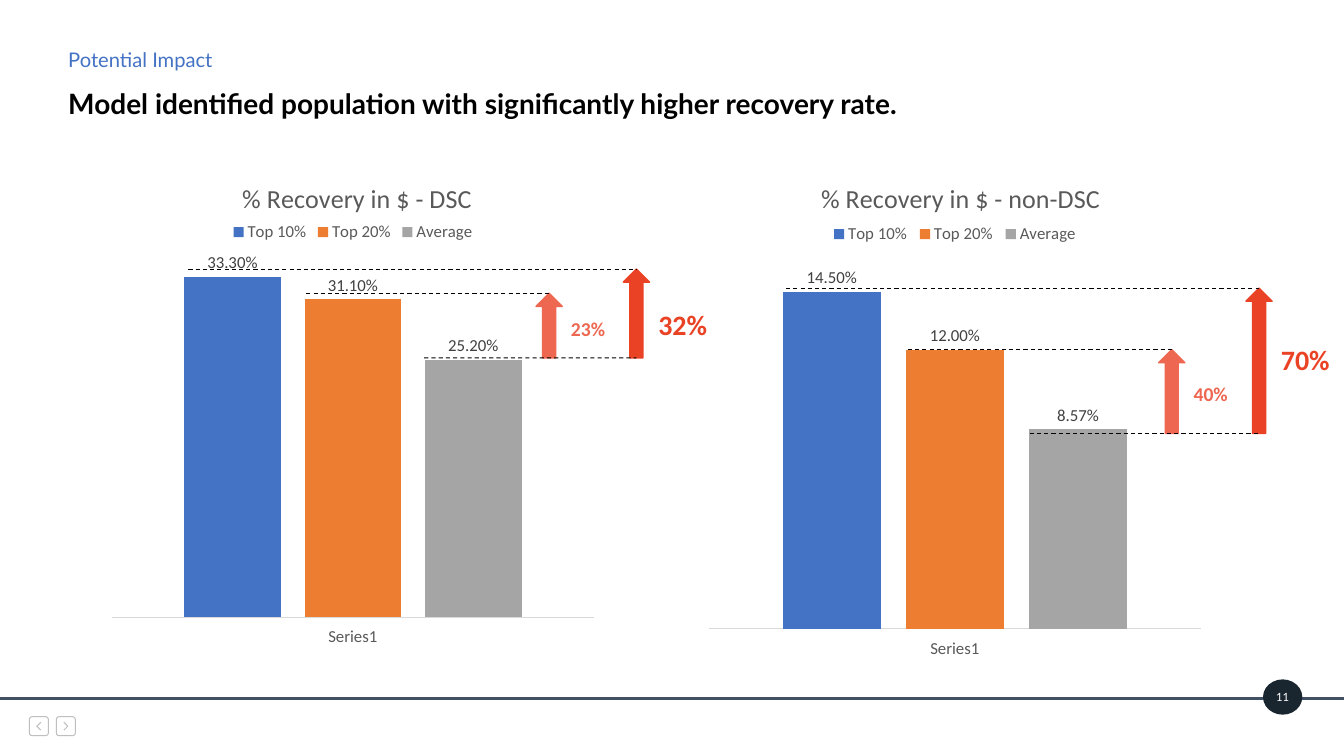
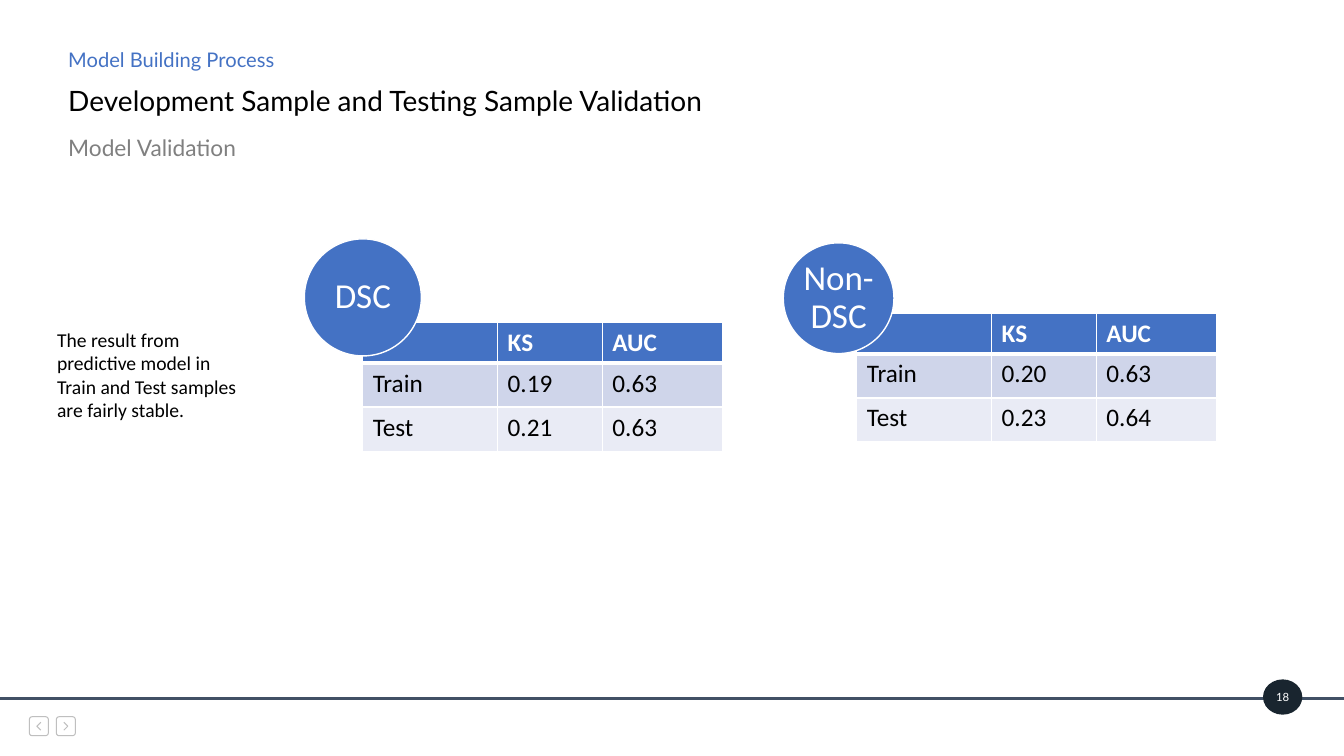
"""Build two slides on model impact and model validation."""
from lxml import etree
from pptx import Presentation
from pptx.chart.data import CategoryChartData
from pptx.dml.color import RGBColor
from pptx.enum.chart import XL_CHART_TYPE, XL_LABEL_POSITION, XL_LEGEND_POSITION, XL_TICK_LABEL_POSITION, XL_TICK_MARK
from pptx.enum.dml import MSO_LINE
from pptx.enum.shapes import MSO_CONNECTOR, MSO_SHAPE
from pptx.enum.text import MSO_ANCHOR, PP_ALIGN
from pptx.oxml.ns import qn
from pptx.oxml.xmlchemy import OxmlElement
from pptx.util import Cm, Pt

COLUMNS = XL_CHART_TYPE.COLUMN_CLUSTERED
OUTSIDE = XL_LABEL_POSITION.OUTSIDE_END
LEGEND_TOP = XL_LEGEND_POSITION.TOP
NO_TICK = XL_TICK_MARK.NONE
LABELS_LOW = XL_TICK_LABEL_POSITION.LOW
DASH = MSO_LINE.DASH
STRAIGHT = MSO_CONNECTOR.STRAIGHT
OVAL, UP_ARROW, ROUNDED = MSO_SHAPE.OVAL, MSO_SHAPE.UP_ARROW, MSO_SHAPE.ROUNDED_RECTANGLE
TOP, MIDDLE = MSO_ANCHOR.TOP, MSO_ANCHOR.MIDDLE
LEFT, CENTER = PP_ALIGN.LEFT, PP_ALIGN.CENTER


class Theme:
    """Shared colours, fonts and type sizes."""
    blue, orange, gray = "4472C4", "ED7D31", "A5A5A5"
    light_red, red = "EE6750", "EA4224"
    black, white = "000000", "FFFFFF"
    subtitle, axis_text, label_text = "808080", "595959", "404040"
    axis_line, nav, rule, badge = "D9D9D9", "BFBFBF", "415065", "19252F"
    bands = ("CFD5EA", "E9EBF5")
    heading, body = "Lato", "Calibri"
    title_size, kicker_size, subtitle_size, page_size = 20, 14.4, 16.2, 8.1
    chart_title_size, chart_size, note_size, table_size, circle_size = 18.6, 12, 14, 18, 25


SERIES = [("Top 10%", Theme.blue), ("Top 20%", Theme.orange), ("Average", Theme.gray)]

IMPACT = dict(page="11", kicker="Potential Impact", title_top=2.11, bold=True,
              title="Model identified population with significantly higher recovery rate.")
RECOVERY = [
    dict(title="% Recovery in $ - non-DSC", title_x=0.23, box=(17.6, 3.91, 12.93, 12.83),
         values=(0.145, 0.12, 0.0857), top=0.16, plot=(0.2, 0.73), line_left=19.81, line_step=3.07,
         levels=(7.26, 8.81, 10.92), arrow_x=29.53, lifts=[("40%", 9.5), ("70%", 8.51)]),
    dict(title="% Recovery in $ - DSC", title_x=0.27, box=(2.57, 3.91, 12.65, 12.52),
         values=(0.333, 0.311, 0.252), top=0.35, plot=(0.21, 0.72), line_left=4.75, line_step=2.97,
         levels=(6.78, 7.39, 9.02), arrow_x=13.84, lifts=[("23%", 7.87), ("32%", 7.62)]),
]
ARROW_WIDTH, ARROW_STEP = 0.66, 2.2
LIFT_STYLES = [(1.42, 14, Theme.light_red), (1.75, 20, Theme.red)]

VALIDATION = dict(page="18", kicker="Model Building Process", title_top=2.03, bold=False,
                  title="Development Sample and Testing Sample Validation",
                  subtitle="Model Validation")
NOTE = "The result from predictive model in Train and Test samples are fairly stable."
HEADER = ("", "KS", "AUC")
SAMPLES = [
    dict(name="DSC", circle=(7.67, 6.02, 2.95), at=(9.14, 8.13),
         rows=[("Train", "0.19", "0.63"), ("Test", "0.21", "0.63")]),
    dict(name="Non-DSC", circle=(19.74, 6.12, 2.79), at=(21.59, 7.9),
         rows=[("Train", "0.20", "0.63"), ("Test", "0.23", "0.64")]),
]
COLUMN_WIDTHS = (3.4, 2.64, 3.02)
ROW_HEIGHTS = (1.0, 1.11, 1.11)


def rgb(color):
    return RGBColor.from_string(color)


def apply(target, formats):
    for key, value in formats.items():
        setattr(target, key, value)


def set_font(font, size, color, name=Theme.body, bold=False):
    apply(font, dict(size=Pt(size), name=name, bold=bold))
    font.color.rgb = rgb(color)


def write(sp, text, size, color, name=Theme.body, bold=False, align=LEFT, anchor=TOP, spacing=1.0, margin=None):
    tf = sp.text_frame
    apply(tf, dict(word_wrap=True, vertical_anchor=anchor))
    if margin is not None:
        apply(tf, dict.fromkeys(("margin_left", "margin_top", "margin_right", "margin_bottom"), Cm(margin)))
    p = tf.paragraphs[0]
    apply(p, dict(alignment=align, line_spacing=spacing))
    r = p.add_run()
    r.text = text
    set_font(r.font, size, color, name, bold)


def add_text(s, box, text, size, color, **formats):
    write(s.shapes.add_textbox(*map(Cm, box)), text, size, color, **formats)


def paint(sp, fill=None, line=None, width=1):
    sp.shadow.inherit = False
    if fill:
        sp.fill.solid()
        sp.fill.fore_color.rgb = rgb(fill)
    else:
        sp.fill.background()
    if line:
        sp.line.color.rgb = rgb(line)
        sp.line.width = Pt(width)
    else:
        sp.line.fill.background()


def add_shape(s, kind, box, **style):
    sp = s.shapes.add_shape(kind, *map(Cm, box))
    paint(sp, **style)
    return sp


def add_line(s, start, end, color, width):
    line = s.shapes.add_connector(STRAIGHT, *map(Cm, start + end))
    line.line.color.rgb = rgb(color)
    line.line.width = Pt(width)
    line._element.spPr.append(OxmlElement("a:effectLst"))
    return line


def add_nav_button(s, left, direction):
    top, side, reach = 18.06, 0.48, 0.05
    button = add_shape(s, ROUNDED, (left, top, side, side), line=Theme.nav, width=0.75)
    button.adjustments[0] = 0.15
    x, y = left + side / 2, top + side / 2
    back, tip = x - direction * reach, x + direction * reach
    builder = s.shapes.build_freeform(Cm(back), Cm(y - 2 * reach))
    builder.add_line_segments([(Cm(tip), Cm(y)), (Cm(back), Cm(y + 2 * reach))], close=False)
    paint(builder.convert_to_shape(), line=Theme.nav, width=0.75)


def add_page(prs, page, kicker, title, title_top, bold, subtitle=None):
    s = prs.slides.add_slide(prs.slide_layouts[6])
    for left, direction in ((0.74, -1), (1.42, 1)):
        add_nav_button(s, left, direction)
    add_line(s, (0, 17.6), (33.87, 17.6), Theme.rule, 1.5)
    badge = add_shape(s, OVAL, (31.83, 17.12, 0.99, 0.89), fill=Theme.badge)
    write(badge, page, Theme.page_size, Theme.white, name=Theme.heading, align=CENTER, anchor=MIDDLE, margin=0)
    headings = [(title, title_top, 1.09, Theme.title_size, Theme.black, bold),
                (kicker, 1.19, 0.69, Theme.kicker_size, Theme.blue, False)]
    if subtitle:
        headings.append((subtitle, 3.45, 0.64, Theme.subtitle_size, Theme.subtitle, False))
    for text, top, height, size, color, heavy in headings:
        add_text(s, (1.47, top, 30.23, height), text, size, color, name=Theme.heading,
                 bold=heavy, anchor=MIDDLE, spacing=0.9)
    return s


def set_layout(parent, index, **values):
    for old in parent.findall(qn("c:layout")):
        parent.remove(old)
    layout = OxmlElement("c:layout")
    manual = etree.SubElement(layout, qn("c:manualLayout"))
    for key, value in values.items():
        etree.SubElement(manual, qn(f"c:{key}")).set("val", str(value))
    parent.insert(index, layout)


def add_recovery_chart(s, item):
    data = CategoryChartData(number_format="0.00%")
    data.categories = ["Series1"]
    for (name, _), value in zip(SERIES, item["values"]):
        data.add_series(name, [value])
    chart = s.shapes.add_chart(COLUMNS, *map(Cm, item["box"]), data).chart
    set_font(chart.font, Theme.chart_size, Theme.axis_text)
    apply(chart, dict(has_title=True, has_legend=True))

    tf = chart.chart_title.text_frame
    tf.text = item["title"]
    set_font(tf.paragraphs[0].runs[0].font, Theme.chart_title_size, Theme.axis_text)
    apply(chart.legend, dict(position=LEGEND_TOP, include_in_layout=False))
    set_font(chart.legend.font, Theme.chart_size, Theme.axis_text)

    apply(chart.value_axis, dict(minimum_scale=0, maximum_scale=item["top"],
                                 has_major_gridlines=False, visible=False))
    axis = chart.category_axis
    apply(axis, dict(major_tick_mark=NO_TICK, minor_tick_mark=NO_TICK, tick_label_position=LABELS_LOW))
    axis.format.line.color.rgb = rgb(Theme.axis_line)
    axis.format.line.width = Pt(0.75)
    set_font(axis.tick_labels.font, Theme.chart_size, Theme.axis_text)

    plot = chart.plots[0]
    apply(plot, dict(gap_width=150, overlap=-25, vary_by_categories=False))
    for series, (_, color) in zip(plot.series, SERIES):
        series.format.fill.solid()
        series.format.fill.fore_color.rgb = rgb(color)
        labels = series.data_labels
        apply(labels, dict(show_value=True, position=OUTSIDE, number_format="0.00%",
                           number_format_is_linked=False))
        set_font(labels.font, Theme.chart_size, Theme.label_text)

    y, h = item["plot"]
    modes = dict(xMode="edge", yMode="edge")
    set_layout(chart._chartSpace.chart.plotArea, 0, layoutTarget="inner", **modes, x=0.02, y=y, w=0.96, h=h)
    set_layout(chart.chart_title._element, 1, **modes, x=item["title_x"], y=0.04)
    set_layout(chart.legend._element, 1, **modes, x=0.25, y=0.13, w=0.5, h=0.05)


def add_lifts(s, item):
    high, middle, base = item["levels"]
    arrows = []
    for i, ((text, text_top), top) in enumerate(zip(item["lifts"], (middle, high))):
        width, size, color = LIFT_STYLES[i]
        x = item["arrow_x"] + i * ARROW_STEP
        box = (x - ARROW_WIDTH / 2, top, ARROW_WIDTH, base - top)
        arrows.append(add_shape(s, UP_ARROW, box, fill=color, line=color))
        add_text(s, (x + 0.3, text_top, width, size * 0.06), text, size, color, bold=True)
    small, large = arrows
    for i, (level, arrow, site) in enumerate([(high, large, 0), (middle, small, 0), (base, large, 2)]):
        x = item["line_left"] + i * item["line_step"]
        line = add_line(s, (x, level), (item["arrow_x"], level), Theme.black, 0.75)
        line.line.dash_style = DASH
        line.end_connect(arrow, site)


def set_borders(cell, top, bottom):
    tcPr = cell._tc.get_or_add_tcPr()
    for i, (side, width) in enumerate((("L", 1), ("R", 1), ("T", top), ("B", bottom))):
        ln = OxmlElement(f"a:ln{side}")
        ln.set("w", str(Pt(width)))
        fill = etree.SubElement(ln, qn("a:solidFill"))
        etree.SubElement(fill, qn("a:srgbClr")).set("val", Theme.white)
        tcPr.insert(i, ln)


def add_sample_table(s, item):
    rows = [HEADER] + item["rows"]
    size = (sum(COLUMN_WIDTHS), sum(ROW_HEIGHTS))
    table = s.shapes.add_table(len(rows), len(HEADER), *map(Cm, item["at"] + size)).table
    for column, width in zip(table.columns, COLUMN_WIDTHS):
        column.width = Cm(width)
    for i, (row, height) in enumerate(zip(rows, ROW_HEIGHTS)):
        table.rows[i].height = Cm(height)
        fill = Theme.bands[i - 1] if i else Theme.blue
        for j, text in enumerate(row):
            cell = table.cell(i, j)
            cell.fill.solid()
            cell.fill.fore_color.rgb = rgb(fill)
            set_borders(cell, 3 if i == 1 else 1, 1 if i else 3)
            cell.text = text
            set_font(cell.text_frame.paragraphs[0].font, Theme.table_size,
                     Theme.black if i else Theme.white, bold=not i)


def add_sample_circle(s, item):
    left, top, side = item["circle"]
    circle = add_shape(s, OVAL, (left, top, side, side), fill=Theme.blue, line=Theme.white)
    write(circle, item["name"], Theme.circle_size, Theme.white, align=CENTER, anchor=MIDDLE, spacing=0.9, margin=0)


def main():
    prs = Presentation()
    apply(prs, dict(slide_width=Cm(33.87), slide_height=Cm(19.05)))

    s = add_page(prs, **IMPACT)
    for item in RECOVERY:
        add_recovery_chart(s, item)
        add_lifts(s, item)

    s = add_page(prs, **VALIDATION)
    add_text(s, (1.19, 8.13, 5.23, 2.64), NOTE, Theme.note_size, Theme.black)
    for item in SAMPLES:
        add_sample_table(s, item)
        add_sample_circle(s, item)

    prs.save("out.pptx")


if __name__ == "__main__":
    main()
